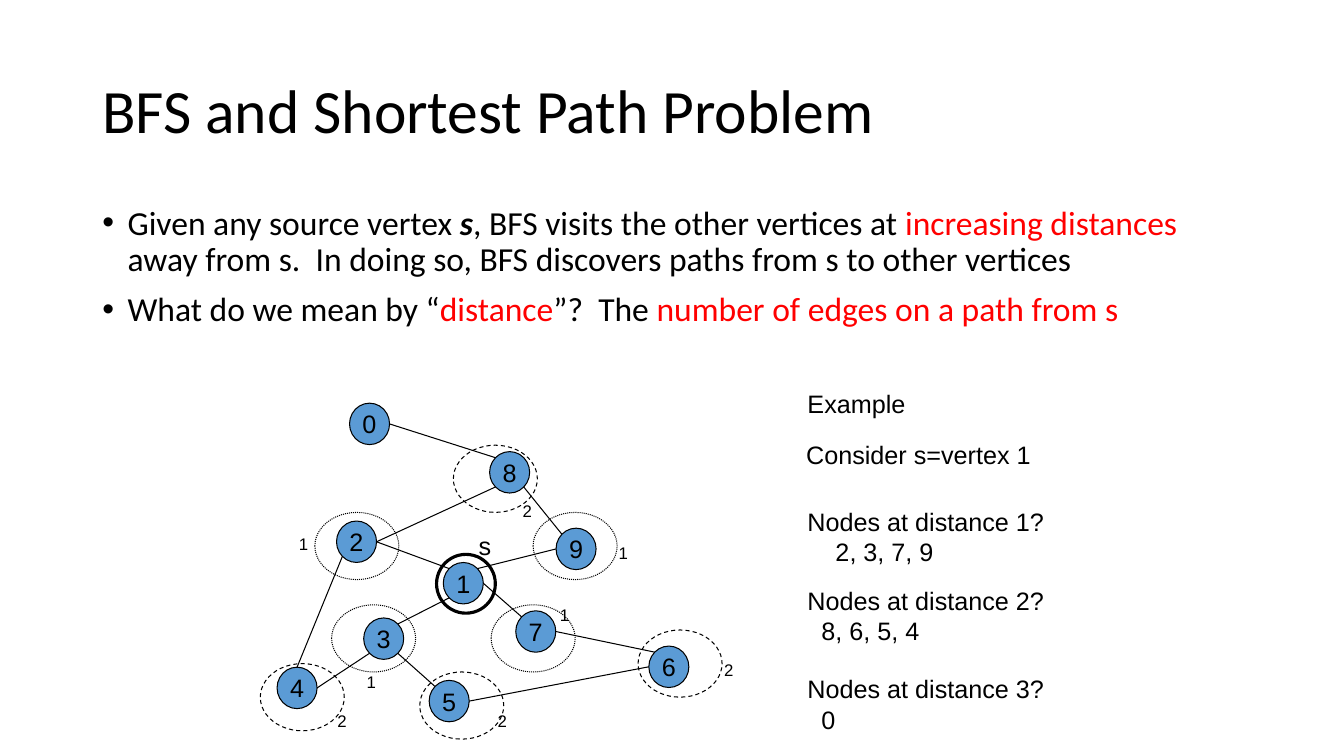
import math

import pptx
import pptx.dml.color
import pptx.enum.dml
import pptx.enum.shapes
import pptx.enum.text
import pptx.oxml
import pptx.oxml.ns
import pptx.util
from pptx.util import Pt

BLACK, RED, BLUE = "000000", "FF0000", "5B9BD5"
DASH = pptx.enum.dml.MSO_LINE
ALIGN = pptx.enum.text.PP_ALIGN
ANCHOR = pptx.enum.text.MSO_ANCHOR

NODE_W, NODE_H = 28.6, 29.6
NODES = {  # vertex: left, top
    2: (240.5, 372.2), 4: (198, 476.6), 3: (259.9, 441.4), 5: (306.7, 486),
    1: (316.8, 401.8), 7: (368.6, 436.3), 6: (463.7, 461.5),
    9: (397.4, 377.3), 8: (349.9, 322.6), 0: (249.8, 288),
}
# Places on a node's rim, clockwise from the right, in degrees
SIDES = {"E": 0, "SE": 45, "SW": 135, "W": 180, "NW": 225, "N": 270, "NE": 315}
EDGES = [
    (0, "E", 8, "NW"), (8, "SE", 9, "NW"), (9, "W", 1, "NE"),
    (8, "SW", 2, "E"), (2, "E", 1, "NW"), (2, "SW", 4, "N"),
    (4, "E", 3, "SW"), (3, "NE", 1, "SW"), (3, "SE", 5, "NW"),
    (5, "E", 6, "W"), (1, "E", 7, "NW"), (7, "E", 6, "NW"),
]
# distance: ring dash, ring positions, label positions
DISTANCES = {
    1: (DASH.ROUND_DOT, [(225, 366), (237, 432), (351, 432), (381, 366)],
        [(435, 384), (393, 428.4), (206.6, 378), (255, 476.6)]),
    2: (DASH.DASH, [(324, 318), (186, 474), (300, 480), (456, 450)],
        [(510.5, 468), (348.5, 504), (234, 504), (366.5, 354)]),
}
# left, top, line, answer, answer indent
EXAMPLE = [
    (570, 273.6, "Example", None, 0),
    (569, 310.5, "Consider s=vertex 1", None, 0),
    (570, 357.8, "Nodes at distance 1?", "2, 3, 7, 9", 20),
    (570, 414.3, "Nodes at distance 2?", "8, 6, 5, 4", 10),
    (570, 477.6, "Nodes at distance 3?", "0", 10),
]
POINTS = [
    [("Given any source vertex ", BLACK), ("s", BLACK),
     (", BFS visits the other vertices at ", BLACK),
     ("increasing distances ", RED),
     ("away from s.  In doing so, BFS discovers paths from s to other vertices", BLACK)],
    [("What do we mean by “", BLACK), ("distance", RED), ("”?  The ", BLACK),
     ("number of edges on a path from s", RED)],
]


def color(hex_string):
    return pptx.dml.color.RGBColor.from_string(hex_string)


def place(shape, left, top, width, height):
    shape.left, shape.top = Pt(left), Pt(top)
    shape.width, shape.height = Pt(width), Pt(height)


def style(paragraph, size, face="Arial", align=ALIGN.LEFT):
    paragraph.alignment = align
    paragraph.font.size = Pt(size)
    paragraph.font.name = face
    paragraph.font.color.rgb = color(BLACK)


def indent(paragraph, margin, first_line=0):
    properties = paragraph._p.get_or_add_pPr()
    properties.set("marL", str(Pt(margin)))
    properties.set("indent", str(Pt(first_line)))


def add_ellipse(slide, left, top, width, height, fill=None, weight=0.75, dash=None):
    ellipse = slide.shapes.add_shape(
        pptx.enum.shapes.MSO_SHAPE.OVAL, Pt(left), Pt(top), Pt(width), Pt(height))
    ellipse.shadow.inherit = False
    if fill:
        ellipse.fill.solid()
        ellipse.fill.fore_color.rgb = color(fill)
    else:
        ellipse.fill.background()
    ellipse.line.color.rgb = color(BLACK)
    ellipse.line.width = Pt(weight)
    if dash:
        ellipse.line.dash_style = dash
    return ellipse


def add_node(slide, vertex, left, top):
    frame = add_ellipse(slide, left, top, NODE_W, NODE_H, BLUE).text_frame
    frame.word_wrap = False
    frame.vertical_anchor = ANCHOR.MIDDLE
    frame.text = str(vertex)
    style(frame.paragraphs[0], 18, align=ALIGN.CENTER)


def rim_point(vertex, side):
    left, top = NODES[vertex]
    angle = math.radians(SIDES[side])
    return (Pt(left + NODE_W / 2 * (1 + math.cos(angle))),
            Pt(top + NODE_H / 2 * (1 + math.sin(angle))))


def add_edge(slide, start, start_side, end, end_side):
    edge = slide.shapes.add_connector(
        pptx.enum.shapes.MSO_CONNECTOR.STRAIGHT,
        *rim_point(start, start_side), *rim_point(end, end_side))
    edge.line.color.rgb = color(BLACK)
    edge.line.width = Pt(0.75)
    edge._element.spPr.append(pptx.oxml.parse_xml(
        "<a:effectLst %s/>" % pptx.oxml.ns.nsdecls("a")))


def add_text(slide, text, left, top, width, height, size, wrap=False):
    frame = slide.shapes.add_textbox(Pt(left), Pt(top), Pt(width), Pt(height)).text_frame
    frame.word_wrap = wrap
    frame.text = text
    for paragraph in frame.paragraphs:
        style(paragraph, size)
    return frame


def fill_title(title):
    place(title, 66, 28.75, 828, 104.4)
    title.text_frame.text = "BFS and Shortest Path Problem"
    title.text_frame.vertical_anchor = ANCHOR.MIDDLE
    heading = title.text_frame.paragraphs[0]
    style(heading, 44, "Calibri")
    heading.line_spacing = 0.9


def fill_points(body):
    place(body, 66, 143.75, 828, 342.6)
    frame = body.text_frame
    for number, pieces in enumerate(POINTS):
        point = frame.add_paragraph() if number else frame.paragraphs[0]
        style(point, 24, "Calibri")
        indent(point, 18, -18)
        point.line_spacing = 0.9
        point.space_before = Pt(10)
        for text, text_color in pieces:
            run = point.add_run()
            run.text = text
            run.font.color.rgb = color(text_color)
            if text == "s":
                run.font.bold = run.font.italic = True


def draw_graph(slide):
    for vertex, (left, top) in NODES.items():
        add_node(slide, vertex, left, top)
    for edge in EDGES:
        add_edge(slide, *edge)

    # Rings and labels for the distance from s
    for distance, (dash, rings, labels) in DISTANCES.items():
        for left, top in rings:
            add_ellipse(slide, left, top, 60, 48, dash=dash)
        for left, top in labels:
            add_text(slide, str(distance), left, top, 21, 21.6, 12)

    # Source vertex
    add_ellipse(slide, 312, 396, 42, 42, weight=2.25)
    add_text(slide, "s", 335, 375, 23, 29, 18)


def write_example(slide):
    for left, top, line, answer, margin in EXAMPLE:
        text = f"{line}\n{answer}" if answer else line
        frame = add_text(slide, text, left, top, 184, 50 if answer else 29, 18, True)
        if answer:
            indent(frame.paragraphs[1], margin)


def main():
    presentation = pptx.Presentation()
    presentation.slide_width, presentation.slide_height = Pt(960.48), Pt(540)
    slide = presentation.slides.add_slide(presentation.slide_layouts[1])
    fill_title(slide.shapes.title)
    fill_points(slide.placeholders[1])
    draw_graph(slide)
    write_example(slide)
    presentation.save("out.pptx")


if __name__ == "__main__":
    main()
